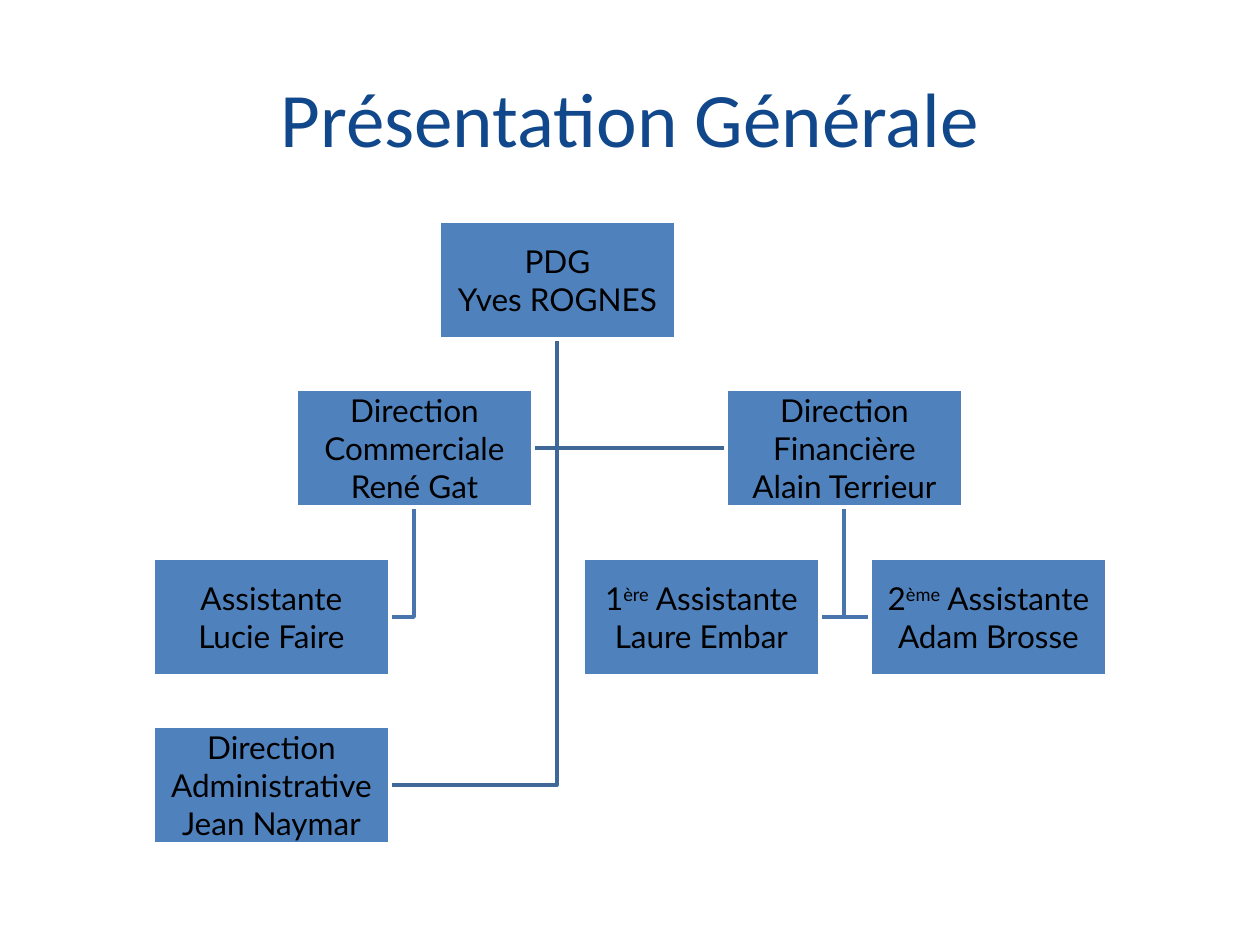
import pptx
import pptx.util
import pptx.dml.color
import pptx.enum.shapes
import pptx.enum.text

PX = 914400 // 126
WIDTH, HEIGHT = 1260, 945
BOX_WIDTH, BOX_HEIGHT = 237, 118

THEME = {
    "title": {"name": "Calibri", "size": pptx.util.Pt(44), "color": "11478B"},
    "box": {"name": "Lato", "size": pptx.util.Pt(18), "color": "000000"},
    "box_fill": "4F81BD",
    "box_line": "FFFFFF",
    "branch_lines": ["3F6797", "4875AC"],
    "line_width": pptx.util.Pt(2),
}
FRAME = {
    "word_wrap": True,
    "vertical_anchor": pptx.enum.text.MSO_ANCHOR.MIDDLE,
    "margin_left": PX,
    "margin_top": PX,
    "margin_right": PX,
    "margin_bottom": PX,
}

# key: (column, row, parent, paragraphs); a run is (text, is superscript)
STAFF = {
    "ceo": (2, 0, None, [[("PDG", False)], [("Yves ROGNES", False)]]),
    "sales": (1, 1, "ceo", [[("Direction Commerciale", False)], [("René Gat", False)]]),
    "sales_assistant": (0, 2, "sales", [[("Assistante", False)], [("Lucie Faire", False)]]),
    "finance": (4, 1, "ceo", [[("Direction Financière", False)], [("Alain Terrieur", False)]]),
    "first_assistant": (3, 2, "finance", [
        [("1", False), ("ère", True), (" Assistante", False)], [("Laure Embar", False)]]),
    "second_assistant": (5, 2, "finance", [
        [("2", False), ("ème", True), (" Assistante", False)], [("Adam Brosse", False)]]),
    "administration": (0, 3, "ceo", [
        [("Direction Administrative", False)], [("Jean Naymar", False)]]),
}


def box_corner(key):
    """Left and top of a box in px, from its column and row."""
    column, row = STAFF[key][:2]
    return 153 + 717 * column // 5, 221 + 337 * row // 2


def format_span(span, style):
    for name in ("name", "size"):
        setattr(span.font, name, style[name])
    span.font.color.rgb = pptx.dml.color.RGBColor.from_string(style["color"])


deck = pptx.Presentation()
deck.slide_width = pptx.util.Emu(914400 * 10)
deck.slide_height = pptx.util.Emu(914400 * 15 // 2)
page = deck.slides.add_slide(deck.slide_layouts[5])

title = page.shapes.title
for name, value in {"left": 63, "top": 38, "width": 1134, "height": 157}.items():
    setattr(title, name, value * PX)
title.text_frame.vertical_anchor = pptx.enum.text.MSO_ANCHOR.MIDDLE
title_para = title.text_frame.paragraphs[0]
title_para.alignment = pptx.enum.text.PP_ALIGN.CENTER
title_span = title_para.add_run()
title_span.text = "Présentation Générale"
format_span(title_span, THEME["title"])

# Branches drop from the parent's bottom, then turn to the near side of the child.
for key, (column, row, parent, paragraphs) in STAFF.items():
    if parent is None:
        continue
    parent_left, parent_top = box_corner(parent)
    child_left, child_top = box_corner(key)
    trunk_x = parent_left + BOX_WIDTH // 2
    end_x = child_left if child_left > trunk_x else child_left + BOX_WIDTH
    end_y = child_top + BOX_HEIGHT // 2
    outline = page.shapes.build_freeform(trunk_x, parent_top + BOX_HEIGHT, scale=PX)
    outline.add_line_segments([(trunk_x, end_y), (end_x, end_y)], close=False)
    branch = outline.convert_to_shape()
    branch.shadow.inherit = False
    branch.fill.background()
    branch.line.width = THEME["line_width"]
    branch.line.color.rgb = pptx.dml.color.RGBColor.from_string(
        THEME["branch_lines"][STAFF[parent][1]])

for key, (column, row, parent, paragraphs) in STAFF.items():
    left, top = box_corner(key)
    box = page.shapes.add_shape(
        pptx.enum.shapes.MSO_SHAPE.RECTANGLE,
        left * PX, top * PX, BOX_WIDTH * PX, BOX_HEIGHT * PX)
    box.shadow.inherit = False
    box.fill.solid()
    box.fill.fore_color.rgb = pptx.dml.color.RGBColor.from_string(THEME["box_fill"])
    box.line.color.rgb = pptx.dml.color.RGBColor.from_string(THEME["box_line"])
    box.line.width = THEME["line_width"]
    frame = box.text_frame
    for name, value in FRAME.items():
        setattr(frame, name, value)
    for index, runs in enumerate(paragraphs):
        para = frame.add_paragraph() if index else frame.paragraphs[0]
        para.alignment = pptx.enum.text.PP_ALIGN.CENTER
        for text, is_superscript in runs:
            span = para.add_run()
            span.text = text
            format_span(span, THEME["box"])
            if is_superscript:
                span._r.get_or_add_rPr().set("baseline", "30000")

deck.save("out.pptx")
